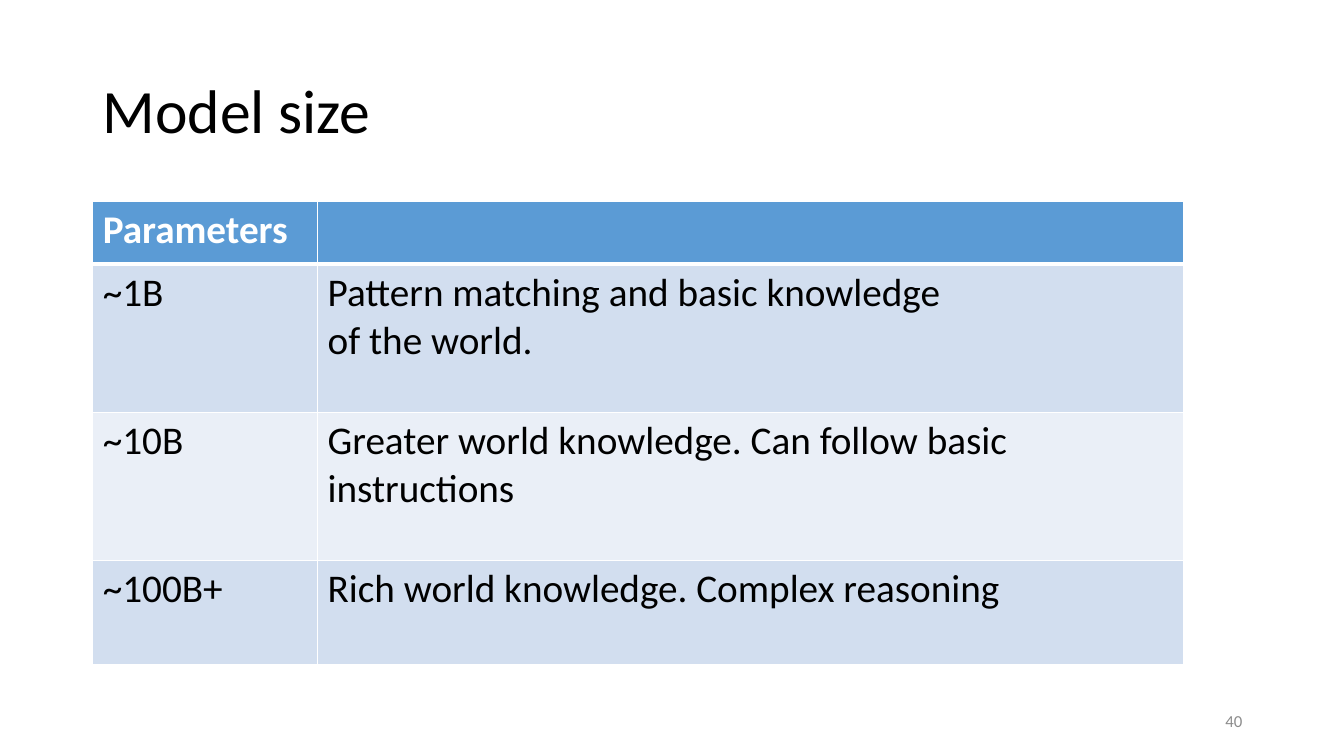
from lxml import etree
from pptx import Presentation
from pptx.dml.color import RGBColor
from pptx.enum.text import MSO_ANCHOR, PP_ALIGN
from pptx.oxml.ns import qn
from pptx.util import Inches, Pt

LEFT, RIGHT = PP_ALIGN.LEFT, PP_ALIGN.RIGHT
MIDDLE = MSO_ANCHOR.MIDDLE
FONT = "Calibri"
BLACK = RGBColor(0x00, 0x00, 0x00)
WHITE = RGBColor(0xFF, 0xFF, 0xFF)
GRAY = RGBColor(0x8C, 0x8C, 0x8C)
HEADER_BLUE = RGBColor(0x5B, 0x9B, 0xD5)
BAND_DARK = RGBColor(0xD2, 0xDE, 0xEF)
BAND_LIGHT = RGBColor(0xEA, 0xEF, 0xF7)

MODEL_SIZES = [
    ("Parameters", ""),
    ("~1B", "Pattern matching and basic knowledge\nof the world."),
    ("~10B", "Greater world knowledge. Can follow basic\ninstructions"),
    ("~100B+", "Rich world knowledge. Complex reasoning"),
]
COLUMN_WIDTHS = (2.23, 8.59)
ROW_HEIGHTS = (0.62, 1.47, 1.47, 1.03)


def write_text(frame, text, size, color=BLACK, bold=False, align=LEFT, spacing=None):
    """Fill a text frame, one paragraph for each line of text."""
    frame.word_wrap = True
    frame.text = text
    for paragraph in frame.paragraphs:
        paragraph.alignment = align
        paragraph.line_spacing = spacing
        font = paragraph.font
        font.name, font.size, font.bold = FONT, Pt(size), bold
        font.color.rgb = color
        for run in paragraph.runs:
            run.font.name, run.font.size, run.font.bold = FONT, Pt(size), bold
            run.font.color.rgb = color


def add_text(slide, text, left, top, width, height, **text_format):
    box = slide.shapes.add_textbox(Inches(left), Inches(top), Inches(width), Inches(height))
    box.text_frame.vertical_anchor = MIDDLE
    write_text(box.text_frame, text, **text_format)


def set_borders(cell, top, bottom):
    """Draw white cell borders; top and bottom are widths in points."""
    properties = cell._tc.get_or_add_tcPr()
    for side, width in (("L", 1), ("R", 1), ("T", top), ("B", bottom)):
        line = etree.SubElement(properties, qn(f"a:ln{side}"), w=str(Pt(width)))
        fill = etree.SubElement(line, qn("a:solidFill"))
        etree.SubElement(fill, qn("a:srgbClr"), val=str(WHITE))


def add_size_table(slide):
    table = slide.shapes.add_table(
        len(MODEL_SIZES), len(COLUMN_WIDTHS), Inches(0.92), Inches(2),
        Inches(sum(COLUMN_WIDTHS)), Inches(sum(ROW_HEIGHTS))).table
    for column, width in zip(table.columns, COLUMN_WIDTHS):
        column.width = Inches(width)
    for row, height in zip(table.rows, ROW_HEIGHTS):
        row.height = Inches(height)

    for row_index, texts in enumerate(MODEL_SIZES):
        is_header = row_index == 0
        band = BAND_DARK if row_index % 2 else BAND_LIGHT
        for column_index, text in enumerate(texts):
            cell = table.cell(row_index, column_index)
            set_borders(cell, top=3 if row_index == 1 else 1, bottom=3 if is_header else 1)
            cell.fill.solid()
            cell.fill.fore_color.rgb = HEADER_BLUE if is_header else band
            write_text(cell.text_frame, text, size=28,
                       color=WHITE if is_header else BLACK, bold=is_header)


def main():
    presentation = Presentation()
    presentation.slide_width = Inches(13.33)
    presentation.slide_height = Inches(7.5)
    slide = presentation.slides.add_slide(presentation.slide_layouts[6])
    add_text(slide, "Model size", 0.92, 0.4, 11.5, 1.45, size=44, spacing=0.9)
    add_size_table(slide)
    add_text(slide, "40", 9.42, 6.95, 3, 0.4, size=12, color=GRAY, align=RIGHT)
    presentation.save("out.pptx")


if __name__ == "__main__":
    main()
